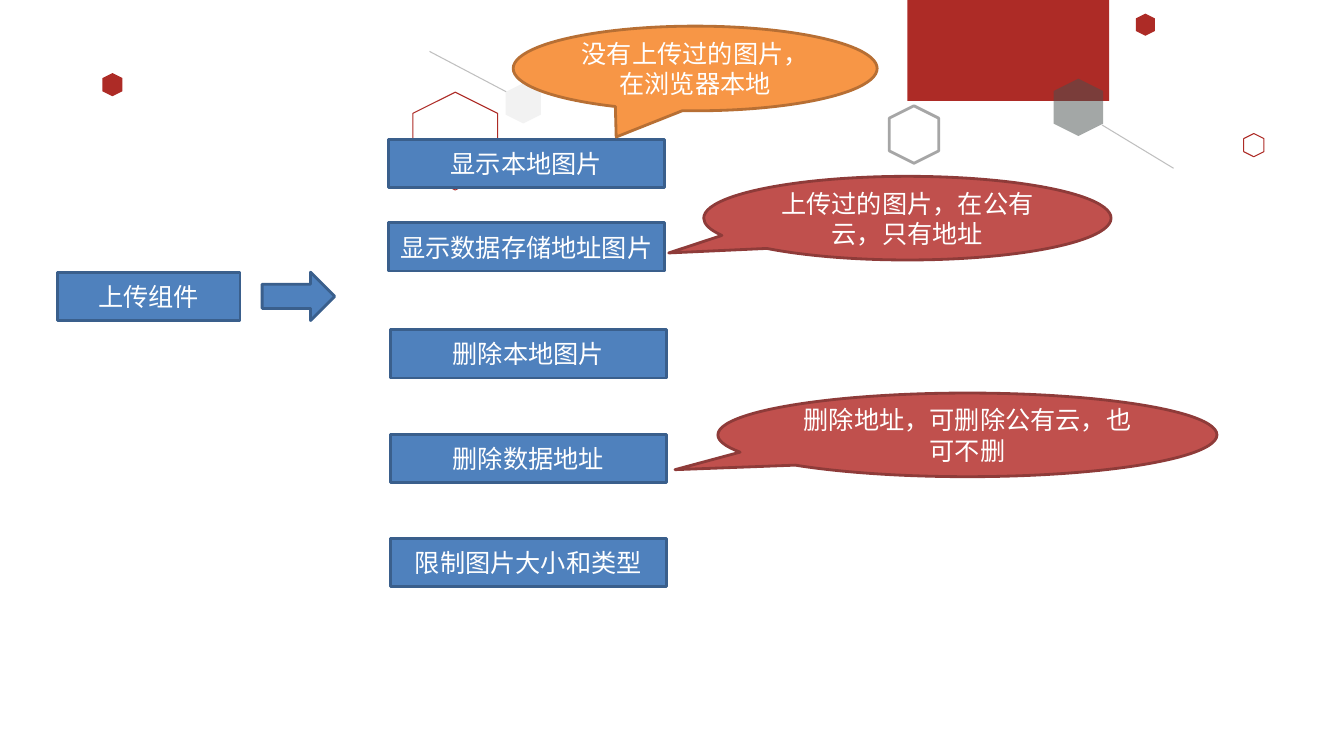
"""Build the slide that maps the upload component to its five functions."""
from dataclasses import dataclass

from lxml import etree
from pptx import Presentation
from pptx.dml.color import RGBColor
from pptx.enum.shapes import MSO_CONNECTOR, MSO_SHAPE
from pptx.enum.text import MSO_ANCHOR, PP_ALIGN
from pptx.oxml.ns import qn
from pptx.util import Inches, Pt

RECTANGLE = MSO_SHAPE.RECTANGLE
RIGHT_ARROW = MSO_SHAPE.RIGHT_ARROW
HEXAGON = MSO_SHAPE.HEXAGON
CALLOUT = MSO_SHAPE.OVAL_CALLOUT
STRAIGHT = MSO_CONNECTOR.STRAIGHT
CENTER = PP_ALIGN.CENTER
MIDDLE = MSO_ANCHOR.MIDDLE


@dataclass(frozen=True)
class Theme:
    font: str = "Calibri"
    size: int = 18
    border: float = 2
    hairline: float = 0.75
    text: str = "FFFFFF"
    blue: tuple = ("4F81BD", "3A5F8C")
    orange: tuple = ("F79646", "B76F34")
    red: tuple = ("C0504D", "8E3B39")
    crimson: str = "AD2B26"
    slate: str = "49504F"
    grey: str = "A6A6A6"
    silver: str = "BFBFBF"
    pale: str = "F2F2F2"


THEME = Theme()

COMPONENT = "上传组件"
COMPONENT_BOX = (0.57, 2.7, 1.81, 0.48)
ARROW_BOX = (2.6, 2.7, 0.72, 0.48)

FUNCTION_SIZE = (2.74, 0.48)
FUNCTIONS = [
    ("显示本地图片", 3.85, 1.38),
    ("显示数据存储地址图片", 3.85, 2.21),
    ("删除本地图片", 3.87, 3.27),
    ("删除数据地址", 3.87, 4.31),
    ("限制图片大小和类型", 3.87, 5.34),
]

LOCAL_TAIL = (-0.217, 0.809)
CLOUD_TAIL = (-0.586, 0.416)
REMARKS = [
    ("没有上传过的图片，在浏览器本地", (5.09, 0.26, 3.61, 0.84), LOCAL_TAIL, THEME.orange),
    ("上传过的图片，在公有云，只有地址", (6.98, 1.75, 4.04, 0.83), CLOUD_TAIL, THEME.red),
    ("删除地址，可删除公有云，也可不删", (7.12, 3.9, 4.95, 0.83), CLOUD_TAIL, THEME.red),
]

BANNER = [(9.43, 0), (10.67, 0), (10.67, 0.61), (10.05, 0.92), (9.43, 0.61)]
HEXAGONS = [
    ((10.41, 0.82, 0.57, 0.49), {"fill": THEME.slate, "opacity": 50}),
    ((8.78, 1.09, 0.57, 0.49), {"line": THEME.grey}),
    ((11.25, 0.15, 0.22, 0.19), {"fill": THEME.crimson}),
    ((4.03, 0.98, 0.97, 0.84), {"line": THEME.crimson, "width": THEME.hairline}),
    ((12.32, 1.34, 0.23, 0.2), {"line": THEME.crimson, "width": THEME.hairline}),
    ((1, 0.74, 0.23, 0.2), {"fill": THEME.crimson}),
    ((4.99, 0.85, 0.4, 0.35), {"fill": THEME.pale}),
]
STRANDS = [(10.93, 1.24, 11.64, 1.67), (4.26, 0.51, 5.02, 0.91)]


def paint(shape, fill=None, line=None, width=THEME.border, opacity=100):
    shape.shadow.inherit = False
    if fill:
        shape.fill.solid()
        shape.fill.fore_color.rgb = RGBColor.from_string(fill)
        if opacity < 100:
            color = shape.fill._xPr.find(qn("a:solidFill"))[0]
            etree.SubElement(color, qn("a:alpha")).set("val", str(opacity * 1000))
    else:
        shape.fill.background()
    if line:
        shape.line.color.rgb = RGBColor.from_string(line)
        shape.line.width = Pt(width)
    else:
        shape.line.fill.background()


def write(shape, text, size=THEME.size, color=THEME.text, align=CENTER):
    frame = shape.text_frame
    frame.word_wrap = True
    frame.vertical_anchor = MIDDLE
    paragraph = frame.paragraphs[0]
    paragraph.alignment = align
    run = paragraph.add_run()
    run.text = text
    run.font.name = THEME.font
    run.font.size = Pt(size)
    run.font.color.rgb = RGBColor.from_string(color)


def add_block(slide, preset, box, colors, text=None):
    block = slide.shapes.add_shape(preset, *map(Inches, box))
    paint(block, *colors)
    if text:
        write(block, text)
    return block


def add_decoration(slide):
    builder = slide.shapes.build_freeform(*BANNER[0], scale=Inches(1))
    builder.add_line_segments(BANNER[1:], close=True)
    paint(builder.convert_to_shape(), fill=THEME.crimson)
    for box, style in HEXAGONS:
        hexagon = slide.shapes.add_shape(HEXAGON, *map(Inches, box))
        hexagon.rotation = 90
        paint(hexagon, **style)
    for ends in STRANDS:
        strand = slide.shapes.add_connector(STRAIGHT, *map(Inches, ends))
        strand.line.color.rgb = RGBColor.from_string(THEME.silver)
        strand.line.width = Pt(THEME.hairline)
        etree.SubElement(strand._element.spPr, qn("a:effectLst"))


def main():
    deck = Presentation()
    deck.slide_width, deck.slide_height = Inches(13.33), Inches(7.5)
    slide = deck.slides.add_slide(deck.slide_layouts[6])
    add_decoration(slide)
    add_block(slide, RECTANGLE, COMPONENT_BOX, THEME.blue, COMPONENT)
    add_block(slide, RIGHT_ARROW, ARROW_BOX, THEME.blue)
    for label, left, top in FUNCTIONS:
        add_block(slide, RECTANGLE, (left, top, *FUNCTION_SIZE), THEME.blue, label)
    for remark, box, tail, colors in REMARKS:
        callout = add_block(slide, CALLOUT, box, colors, remark)
        callout.adjustments[0], callout.adjustments[1] = tail
    deck.save("out.pptx")


if __name__ == "__main__":
    main()
